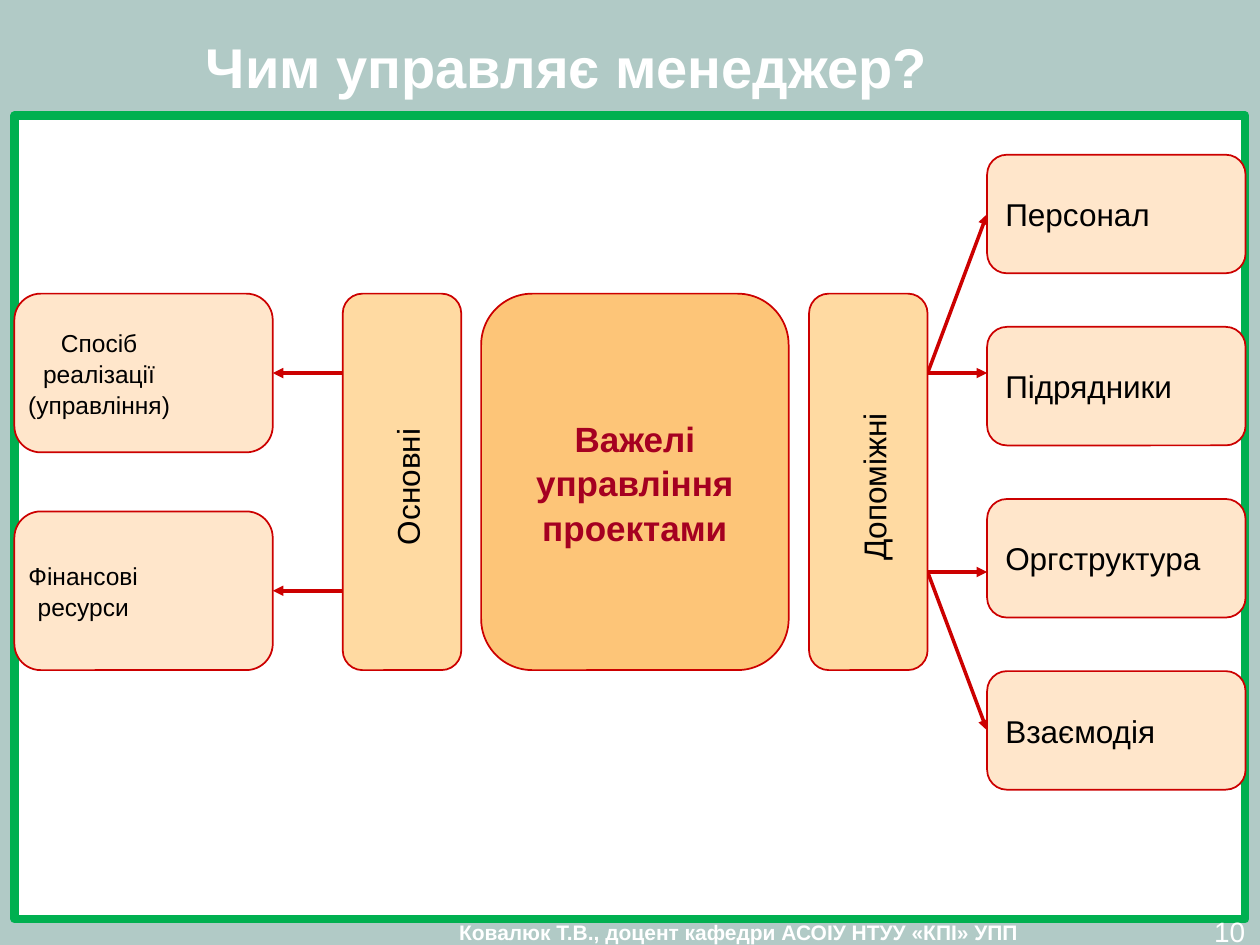
from lxml import etree
from pptx import Presentation
from pptx.dml.color import RGBColor
from pptx.enum.shapes import MSO_CONNECTOR, MSO_SHAPE
from pptx.enum.text import MSO_ANCHOR, PP_ALIGN
from pptx.oxml.ns import qn
from pptx.util import Cm, Pt

LEFT, MID, RIGHT = PP_ALIGN.LEFT, PP_ALIGN.CENTER, PP_ALIGN.RIGHT
TOP, HALF = MSO_ANCHOR.TOP, MSO_ANCHOR.MIDDLE
RECT, ROUND = MSO_SHAPE.RECTANGLE, MSO_SHAPE.ROUNDED_RECTANGLE
LINE = MSO_CONNECTOR.STRAIGHT

HUES = {
    "back": "B1CAC6", "white": "FFFFFF", "black": "000000",
    "green": "00B050", "red": "CC0000", "wine": "A50021",
    "core": "FDC578", "band": "FFDAA2", "card": "FFE6CB",
}


def hue(name):
    return RGBColor.from_string(HUES[name])


def write(shape, text, size=18, color="black", bold=False, align=MID,
          anchor=HALF, wrap=False, pads=(0.25, 0.13, 0.25, 0.13), pitch=None):
    frame = shape.text_frame
    frame.word_wrap = wrap
    frame.vertical_anchor = anchor
    frame.margin_left, frame.margin_top, frame.margin_right, frame.margin_bottom = map(Cm, pads)
    frame.text = text
    for para in frame.paragraphs:
        para.alignment = align
        if pitch:
            para.line_spacing = pitch
        font = para.runs[0].font
        font.name, font.size, font.bold = "Arial", Pt(size), bold
        font.color.rgb = hue(color)


def label(slide, box, text, turn=0, **style):
    shape = slide.shapes.add_textbox(*map(Cm, box))
    shape.rotation = turn
    write(shape, text, **style)


def block(slide, box, fill, kind=ROUND, edge="red", width=1):
    shape = slide.shapes.add_shape(kind, *map(Cm, box))
    shape.shadow.inherit = False
    shape.fill.solid()
    shape.fill.fore_color.rgb = hue(fill)
    shape.line.color.rgb = hue(edge)
    shape.line.width = Pt(width)
    return shape


def arrow(slide, start, end):
    link = slide.shapes.add_connector(LINE, *map(Cm, start + end))
    link.line.color.rgb = hue("red")
    link.line.width = Pt(2)
    props = link._element.spPr
    etree.SubElement(props.find(qn("a:ln")), qn("a:tailEnd"), type="triangle")
    etree.SubElement(props, qn("a:effectLst"))


def page(slide, box):
    x, y, w, h = box
    label(slide, (x + 6.5, y + h - 0.51, 16.79, 0.51),
          "Ковалюк Т.В., доцент кафедри АСОІУ НТУУ «КПІ» УПП", size=12,
          color="white", bold=True, anchor=TOP, wrap=True, pads=(0.25, 0, 0.25, 0))
    block(slide, (x + 0.3, y + 2.33, w - 0.6, 16.2), "white", RECT, "green", 5)
    label(slide, (x, y + 0.33, 22.86, 2.01), "Чим управляє менеджер?",
          size=32, color="white", bold=True, wrap=True)
    label(slide, (x + w - 1.5, y + h - 0.74, 1.45, 0.74), "10", size=16,
          color="white", align=RIGHT, anchor=TOP, wrap=True)


def core(slide, box):
    write(block(slide, box, "core"), "Важелі\nуправління\nпроектами",
          size=20, color="wine", bold=True, pitch=1.05)


def band(slide, box, text, wide, high, shift):
    x, y, w, h = box
    block(slide, box, "band")
    left, top = x + (w - wide) / 2 + shift, y + (h - high) / 2 + 0.1
    label(slide, (left, top, wide, high), text, turn=270, anchor=TOP)


def main_side(slide, box):
    x, y, w, h = box
    wide, high = 5.21, 3.2
    edge = x + w - 2.39
    cards = (("Спосіб\nреалізації\n(управління)", 0, 2.04),
             ("Фінансові\nресурси", h - high, 2.68))
    for text, drop, pad in cards:
        mid = y + drop + high / 2
        arrow(slide, (edge, mid), (x + wide, mid))
        write(block(slide, (x, y + drop, wide, high), "card"), text,
              size=14, pads=(0.25, 0.13, pad, 0.13), pitch=1.05)
    band(slide, (edge, y, 2.39, h), "Основні", 3, 0.61, -0.1)


def help_side(slide, box):
    x, y, w, h = box
    wide, high, step = 5.21, 2.39, 3.47
    edge, left = x + 2.39, x + w - wide
    names = "Персонал", "Підрядники", "Оргструктура", "Взаємодія"
    starts = 4.4, 4.4, 8.41, 8.41
    for row, (name, start) in enumerate(zip(names, starts)):
        top = y + row * step
        mid = top + high / 2
        end = mid if row in (0, 3) else y + start
        arrow(slide, (edge, y + start), (left, end))
        write(block(slide, (left, top, wide, high), "card"), name, align=LEFT)
    band(slide, (x, y + 2.8, 2.39, 7.59), "Допоміжні", 4.8, 0.66, -0.07)


def main():
    deck = Presentation()
    deck.slide_width, deck.slide_height = Cm(25.4), Cm(19.05)
    slide = deck.slides.add_slide(deck.slide_layouts[6])
    slide.background.fill.solid()
    slide.background.fill.fore_color.rgb = hue("back")
    page(slide, (0, 0, 25.4, 19.05))
    core(slide, (9.7, 5.92, 6.2, 7.59))
    main_side(slide, (0.29, 5.92, 9.01, 7.59))
    help_side(slide, (16.31, 3.12, 8.8, 12.8))
    deck.save("out.pptx")


if __name__ == "__main__":
    main()
